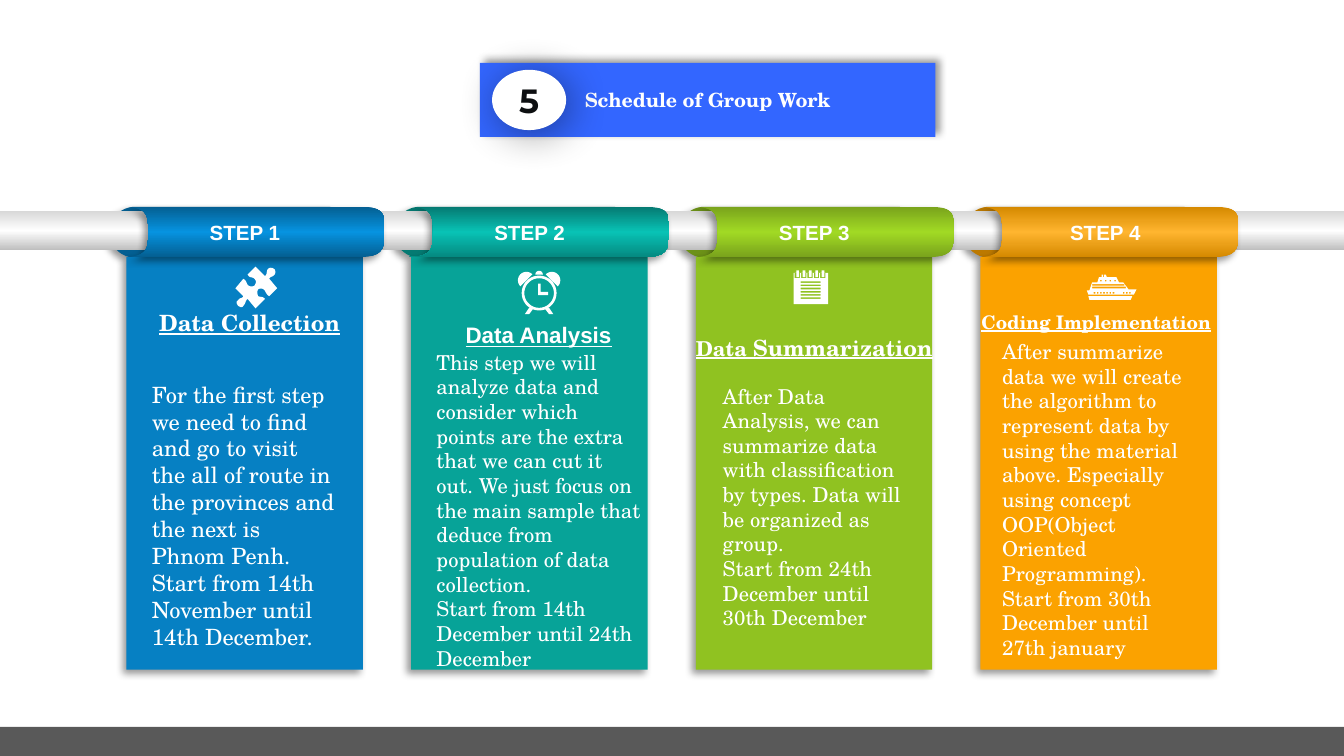
from dataclasses import dataclass
from math import cos, radians, sin

from lxml import etree
from pptx import Presentation
from pptx.dml.color import RGBColor
from pptx.enum import shapes, text
from pptx.oxml import ns
from pptx.util import Cm, Pt


@dataclass(frozen=True)
class Theme:
    """Colours, fonts and type sizes."""
    white: str = "FFFFFF"
    ink: str = "0D0F11"
    blue: str = "3366FF"
    foot: str = "595959"
    rod: tuple = ("BFBFBF", "FFFFFF", "D8D8D8")
    serif: str = "TeX Gyre Schola"
    sans: str = "Arial"
    badge: str = "Montserrat"
    title: float = 10.5
    number: float = 18
    label: float = 11


T = Theme()
KIND = shapes.MSO_SHAPE
LEFT, MID = text.PP_ALIGN.LEFT, text.PP_ALIGN.CENTER
TOP, HALF = text.MSO_ANCHOR.TOP, text.MSO_ANCHOR.MIDDLE


def node(parent, tag, **attrs):
    """Add a drawing element to a parent."""
    return etree.SubElement(parent, ns.qn(tag), {k: str(v) for k, v in attrs.items()})


def paint(shape, fill, angle=270, shade=None):
    """Fill a shape flat or with three stops; shade is (blur, direction)."""
    props = shape.element.spPr
    if isinstance(fill, str):
        shape.fill.solid()
        shape.fill.fore_color.rgb = RGBColor.from_string(fill)
    else:
        shape.fill.gradient()
        shape.fill.gradient_angle = angle
        stops = props.find(".//" + ns.qn("a:gsLst"))
        stops.clear()
        for i, color in enumerate(fill):
            node(node(stops, "a:gs", pos=i * 50000), "a:srgbClr", val=color)
    shape.line.fill.background()
    shape.shadow.inherit = False
    if shade:
        blur, turn = shade
        cast = node(props.find(ns.qn("a:effectLst")), "a:outerShdw", blurRad=Pt(blur),
                    dist=Pt(3), dir=turn * 60000, algn="ctr", rotWithShape=0)
        node(node(cast, "a:srgbClr", val="000000"), "a:alpha", val=40000)
    return shape


def block(slide, kind, box, fill, round=None, **look):
    """Add a painted preset shape."""
    shape = slide.shapes.add_shape(kind, *map(Cm, box))
    if round is not None:
        shape.adjustments[0] = round
    return paint(shape, fill, **look)


def write(shape, *paras, size, font=T.serif, color=T.white, bold=False, under=False,
          align=LEFT, anchor=TOP, pad=(0.18, 0.1)):
    """Fill a shape with paragraphs, each a string or a list of (words, size)."""
    frame = shape.text_frame
    frame.word_wrap, frame.auto_size = True, text.MSO_AUTO_SIZE.NONE
    frame.vertical_anchor = anchor
    frame.margin_left = frame.margin_right = Cm(pad[0])
    frame.margin_top = frame.margin_bottom = Cm(pad[1])
    for i, words in enumerate(paras):
        para = frame.add_paragraph() if i else frame.paragraphs[0]
        para.alignment = align
        for part, points in [(words, size)] if isinstance(words, str) else words:
            run = para.add_run()
            run.text = part
            run.font.name, run.font.size = font, Pt(points)
            run.font.bold, run.font.underline = bold, under
            run.font.color.rgb = RGBColor.from_string(color)


def note(slide, box, *paras, **form):
    """Add a text box."""
    write(slide.shapes.add_textbox(*map(Cm, box)), *paras, **form)


def rect(x, y, w, h):
    """Return the corners of a rectangle."""
    return [(x, y), (x + w, y), (x + w, y + h), (x, y + h)]


def arc(x, y, r, a=0, b=360):
    """Return points along an arc."""
    turns = [radians(a + (b - a) * i / 36) for i in range(37)]
    return [(x + r * cos(t), y + r * sin(t)) for t in turns]


def trace(start, *segs):
    """Return points along lines (2 numbers) and Bezier curves (6 numbers)."""
    pts = [start]
    for seg in segs:
        if len(seg) == 2:
            pts.append(seg)
            continue
        p, q, r, s = pts[-1], seg[:2], seg[2:4], seg[4:]
        for t in (i / 10 for i in range(1, 11)):
            u = 1 - t
            pts.append(tuple(u**3 * a + 3 * u * u * t * b + 3 * u * t * t * c + t**3 * d
                             for a, b, c, d in zip(p, q, r, s)))
    return pts


def draw(slide, x, y, rings, fill, **look):
    """Add one freeform made of closed rings."""
    rings = [[(Cm(x + a), Cm(y + b)) for a, b in ring] for ring in rings]
    pen = slide.shapes.build_freeform(*rings[0][0], scale=1.0)
    for i, ring in enumerate(rings):
        if i:
            pen.move_to(*ring[0])
        pen.add_line_segments(ring[1:], close=True)
    return paint(pen.convert_to_shape(), fill, **look)


def puzzle():
    """Return the rings of a puzzle piece."""
    return [trace(
        (.74, .05), (.76, .08, .76, .13, .74, .15), (.71, .2, .66, .18, .64, .23),
        (.79, .41), (.64, .56), (.56, .51, .58, .46, .53, .43),
        (.51, .41, .46, .41, .43, .43), (.41, .46, .41, .51, .43, .56),
        (.48, .58, .51, .56, .56, .61), (.38, .79), (.23, .61),
        (.18, .66, .2, .69, .15, .74), (.13, .79, .08, .76, .05, .74),
        (.03, .71, 0, .66, .05, .64), (.08, .58, .13, .61, .15, .56), (0, .41), (.15, .23),
        (.23, .28, .2, .33, .25, .36), (.28, .38, .33, .38, .36, .36),
        (.38, .33, .41, .28, .36, .23), (.3, .18, .28, .23, .23, .15), (.38, 0), (.56, .18),
        (.61, .13, .58, .1, .61, .05), (.66, 0, .71, .03, .74, .05))]


def clock():
    """Return the rings of an alarm clock."""
    bell = arc(.17, .19, .16, 135, 315)
    leg = [(.22, .71), (.14, .83), (.22, .83), (.29, .74)]
    sides = [bell, leg] + [[(.82 - x, y) for x, y in ring] for ring in (bell, leg)]
    hands = [(.39, .25), (.44, .25), (.44, .41), (.58, .41), (.58, .47), (.39, .47)]
    return [arc(.41, .43, .33), arc(.41, .43, .28), hands, arc(.41, .08, .07, 180, 360)] + sides


def pad():
    """Return the rings of a notepad."""
    rings = [rect(0, .05, .65, .59)]
    rings += [rect(.13, .21 + .06 * i, .38, .03) for i in range(6)]
    for i in range(5):
        rings += [rect(.02 + .12 * i, .05, .1, .1), rect(.05 + .12 * i, 0, .05, .13)]
    return rings


def ship():
    """Return the rings of a ship."""
    hull = [(.03, .41), (.86, .41), (.83, .48), (.05, .48)]
    decks = [(.33, 0), (.36, 0), (.38, .05), (.56, .05), (.61, .15), (.69, .15), (.79, .28),
             (.94, .28), (.89, .38), (.03, .38), (0, .3), (.05, .3), (.1, .15), (.2, .15),
             (.23, .05), (.28, .05), (.28, 0), (.31, 0), (.31, .05), (.33, .05)]
    ports = [rect(a + .06 * i, .33, .03, .03) for a, n in ((.13, 7), (.68, 3)) for i in range(n)]
    panes = [rect(.25 + .09 * i, .1, .03, .03) for i in range(4)]
    return [hull, decks, rect(.1, .18, .61, .03), rect(.1, .23, .64, .03)] + ports + panes


STEPS = [
    dict(back="045F92", fill="0680C3", tube=("045F92", "0693E0", "045F92"), label=.74,
         icon=(2.06, .18, puzzle()), head=(.41, .89, 3.84, 1.22), name="Data Collection",
         face=dict(size=12), body=(.3, 2.24, 3.84, 5.33), size=12, paras=(
             "For the first step we need to find and go to visit the all of route in the "
             "provinces and the next is Phnom Penh.",
             "Start from 14th November until 14th December.")),
    dict(back="057A72", fill="07A398", tube=("057A72", "08C2B5", "058A81"), label=.74,
         icon=(2.01, .25, clock()), head=(.3, 1.12, 4.22, .71), name="Data Analysis",
         face=dict(size=12, font=T.sans), body=(.3, 1.65, 4.22, 6.3), size=11, paras=(
             "This step we will analyze data and consider which points are the extra that we "
             "can cut it out. We just focus on the main sample that deduce from population of "
             "data collection.", "Start from 14th December until 24th December")),
    dict(back="6C9118", fill="90C221", tube=("7AA41C", "A1D924", "7AA41C"), label=.74,
         icon=(1.85, .25, pad()), head=(-.53, 1.35, 5.54, .71),
         name=[("Data ", 11), ("Summarization", 12)],
         face=dict(size=12), body=(.33, 2.29, 3.84, 4.9), size=11, paras=(
             "After Data Analysis, we can summarize data with classification by types. Data "
             "will be organized as group.", "Start from 24th December until 30th December")),
    dict(back="BC7900", fill="FBA200", tube=("D58900", "FFB52F", "D58900"), label=.86,
         icon=(2.01, .33, ship()), head=(-1.42, .91, 7.21, .61), name="Coding Implementation",
         face=dict(size=10), body=(.23, 1.45, 3.91, 6.3), size=11, paras=(
             "After summarize data we will create the algorithm to represent data by using the "
             "material above. Especially using concept OOP(Object Oriented Programming).",
             "Start from 30th December until 27th january")),
]


def banner(slide, x, y, w, h):
    """Shape the title as a pill with a numbered badge."""
    title = slide.shapes.title
    slide.shapes.element.append(title.element)
    title.left, title.top, title.width, title.height = map(Cm, (x, y, w, h))
    form = node(title.element.spPr, "a:prstGeom", prst="roundRect")
    node(node(form, "a:avLst"), "a:gd", name="adj", fmla="val 50000")
    paint(title, T.blue, shade=(4, 315))
    form = dict(bold=True, align=MID, anchor=HALF, pad=(.25, .13))
    write(title, "Schedule of Group Work", size=T.title, **form)
    disc = block(slide, KIND.OVAL, (x + .23, y + .13, 1.4, 1.14), T.white, shade=(22, 45))
    write(disc, "5", size=T.number, font=T.badge, color=T.ink, **form)


def card(slide, x, y, w, h, number, step):
    """Place one step: panel, tube, icon and texts."""
    block(slide, KIND.RECTANGLE, (x, y, w, h), step["fill"], shade=(4, 135))
    tube = trace((w, .95), (0, .95), (.48, .95, .46, .75, .46, .48), (.46, .2, .48, 0, 0, 0),
                 (w, 0), (w + .49, 0, w + .45, .18, w + .45, .44),
                 (w + .45, .71, w + .49, .95, w, .95))
    draw(slide, x - .05, y - .95, [tube], step["tube"], shade=(4, 135))
    for key, paras, form in (
            ("body", step["paras"], dict(size=step["size"])),
            ("head", [step["name"]], dict(step["face"], bold=True, under=True, align=MID))):
        dx, dy, bw, bh = step[key]
        note(slide, (x + dx, y + dy, bw, bh), *paras, **form)
    note(slide, (x + step["label"], y - .81, 3, .64), f"STEP {number}",
         size=T.label, font=T.sans, bold=True, align=MID)
    dx, dy, rings = step["icon"]
    draw(slide, x + dx, y + dy, rings, T.white)


def steps(slide, x, y, w, h, pitch):
    """Place the rod and the row of step cards."""
    spots = [(x + pitch * i, step) for i, step in enumerate(STEPS)]
    for left, step in reversed(spots):
        block(slide, KIND.ROUNDED_RECTANGLE, (left - .32, y - .95, 4.6, .96), step["back"],
              round=.5, shade=(4, 135))
    block(slide, KIND.RECTANGLE, (0, y - .87, 25.4, .74), T.rod, angle=90)
    for i, (left, step) in enumerate(spots, 1):
        card(slide, left, y, w, h, i, step)


def main():
    """Build and save the slide."""
    deck = Presentation()
    deck.slide_width, deck.slide_height = Cm(25.4), Cm(14.29)
    slide = deck.slides.add_slide(deck.slide_layouts[5])
    block(slide, KIND.RECTANGLE, (0, 13.74, 25.4, .55), T.foot)
    steps(slide, 2.39, 4.86, 4.47, 7.8, 5.38)
    banner(slide, 9.07, 1.19, 8.61, 1.4)
    deck.save("out.pptx")


if __name__ == "__main__":
    main()
